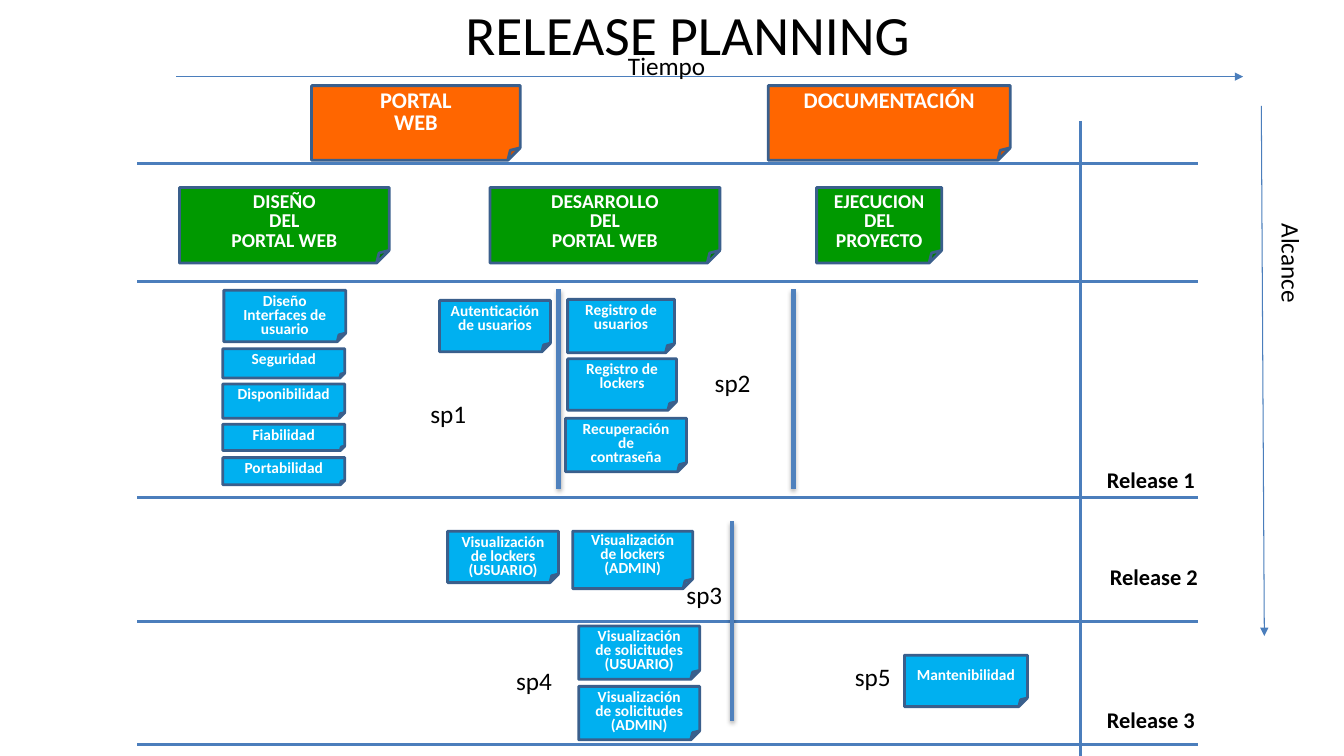
from lxml.etree import SubElement
from pptx import Presentation
from pptx.dml.color import RGBColor
from pptx.enum.shapes import MSO_CONNECTOR, MSO_SHAPE
from pptx.enum.text import MSO_ANCHOR, MSO_AUTO_SIZE, PP_ALIGN
from pptx.oxml.ns import qn
from pptx.util import Inches, Pt

BLACK = RGBColor(0x00, 0x00, 0x00)
WHITE = RGBColor(0xFF, 0xFF, 0xFF)
ORANGE = RGBColor(0xFF, 0x66, 0x00)
GREEN = RGBColor(0x00, 0x99, 0x00)
BLUE = RGBColor(0x00, 0xB0, 0xF0)
EDGE = RGBColor(0x3A, 0x5F, 0x8C)
RULE = RGBColor(0x4B, 0x7E, 0xBC)
SPRINT = RGBColor(0x4F, 0x81, 0xBD)

deck = Presentation()
deck.slide_width, deck.slide_height = Inches(13.33), Inches(7.5)
slide = deck.slides.add_slide(deck.slide_layouts[6])


def write(frame, text, size, color, bold=False, align=PP_ALIGN.LEFT, pitch=None):
    """Put each line of text in its own paragraph; pitch is the line spacing in points."""
    for i, line in enumerate(text.split("\n")):
        para = frame.paragraphs[0] if i == 0 else frame.add_paragraph()
        para.alignment = align
        if pitch:
            para.line_spacing = Pt(pitch)
        run = para.add_run()
        run.text = line
        run.font.name = "Calibri"
        run.font.size = Pt(size)
        run.font.bold = bold
        run.font.color.rgb = color


def draw_line(x1, y1, x2, y2, color, width):
    """Return the line and its empty effect list."""
    line = slide.shapes.add_connector(
        MSO_CONNECTOR.STRAIGHT, Inches(x1), Inches(y1), Inches(x2), Inches(y2))
    line.line.color.rgb = color
    line.line.width = Pt(width)
    return line, SubElement(line.element.spPr, qn("a:effectLst"))


# Title
title = slide.shapes.add_textbox(Inches(1.85), Inches(0.02), Inches(9.94), Inches(0.62))
title.text_frame.word_wrap = True
title.text_frame.vertical_anchor = MSO_ANCHOR.MIDDLE
write(title.text_frame, "RELEASE PLANNING", 39.6, BLACK, align=PP_ALIGN.CENTER)

# Release grid
for y in (1.62, 2.79, 4.94, 6.17, 7.39):
    draw_line(1.36, y, 11.88, y, RULE, 2.25)
draw_line(10.72, 1.2, 10.72, 7.5, RULE, 2.25)

# Time and scope axes
for ends in ((1.75, 0.76, 12.33, 0.76), (12.51, 1.05, 12.54, 6.31)):
    axis, _ = draw_line(*ends, RULE, 0.75)
    SubElement(axis.line._get_or_add_ln(), qn("a:tailEnd"), type="triangle")

# Sprint dividers
for x, y in ((5.54, 2.87), (7.87, 2.87), (7.26, 5.17)):
    _, effects = draw_line(x, y, x, y + 1.98, SPRINT, 3)
    shadow = SubElement(effects, qn("a:outerShdw"), blurRad="40000",
                        dist="23000", dir="5400000", rotWithShape="0")
    shade = SubElement(shadow, qn("a:srgbClr"), val="000000")
    SubElement(shade, qn("a:alpha"), val="35000")

# Notes: text, left, top, width, height, anchor
TOP, MID = MSO_ANCHOR.TOP, MSO_ANCHOR.MIDDLE
goals = [
    ("PORTAL\nWEB", 3.09, 0.85, 2.07, 0.74, TOP),
    ("DOCUMENTACIÓN", 7.62, 0.85, 2.4, 0.74, TOP),
]
tasks = [
    ("DISEÑO\nDEL\nPORTAL WEB", 1.78, 1.86, 2.08, 0.75, TOP),
    ("DESARROLLO\nDEL\nPORTAL WEB", 4.86, 1.86, 2.28, 0.75, TOP),
    ("EJECUCION DEL PROYECTO", 8.1, 1.86, 1.24, 0.75, TOP),
]
stories = [
    ("Diseño Interfaces de usuario", 2.22, 2.88, 1.21, 0.51, TOP),
    ("Seguridad", 2.21, 3.46, 1.21, 0.29, MID),
    ("Disponibilidad", 2.21, 3.81, 1.21, 0.34, TOP),
    ("Fiabilidad", 2.21, 4.21, 1.21, 0.26, TOP),
    ("Portabilidad", 2.21, 4.54, 1.21, 0.27, TOP),
    ("Autenticación de usuarios", 4.36, 2.98, 1.1, 0.51, TOP),
    ("Registro de usuarios", 5.63, 2.97, 1.06, 0.53, TOP),
    ("Registro de lockers", 5.63, 3.56, 1.08, 0.51, TOP),
    ("Recuperación de\ncontraseña", 5.61, 4.15, 1.2, 0.53, TOP),
    ("Visualización de lockers (USUARIO)", 4.44, 5.27, 1.1, 0.51, TOP),
    ("Visualización\nde lockers\n(ADMIN)", 5.68, 5.27, 1.19, 0.57, MID),
    ("Visualización de solicitudes (USUARIO)", 5.74, 6.21, 1.2, 0.53, TOP),
    ("Visualización de solicitudes (ADMIN)", 5.74, 6.81, 1.2, 0.53, TOP),
    ("Mantenibilidad", 8.97, 6.5, 1.22, 0.51, MID),
]
levels = [(goals, ORANGE, 16, 16), (tasks, GREEN, 14, 14), (stories, BLUE, 11, 10)]
for notes, fill, size, pitch in levels:
    for text, x, y, w, h, anchor in notes:
        note = slide.shapes.add_shape(
            MSO_SHAPE.FOLDED_CORNER, Inches(x), Inches(y), Inches(w), Inches(h))
        note.shadow.inherit = False
        note.fill.solid()
        note.fill.fore_color.rgb = fill
        note.line.color.rgb = EDGE
        note.line.width = Pt(2)
        note.text_frame.word_wrap = True
        note.text_frame.vertical_anchor = anchor
        write(note.text_frame, text, size, WHITE, True, PP_ALIGN.CENTER, pitch)

# Labels: text, left, top, width, height, size
labels = [
    ("Release 1", 10.88, 4.58, 1.15, 0.37, 16),
    ("Release 2", 10.91, 5.54, 1.15, 0.37, 16),
    ("Release 3", 10.88, 6.96, 1.15, 0.37, 16),
    ("Tiempo", 6.13, 0.45, 0.98, 0.4, 18),
    ("Alcance", 12.51, 2.12, 0.5, 0.9, 18),
    ("sp1", 4.17, 3.9, 0.56, 0.4, 18),
    ("sp2", 6.99, 3.59, 0.56, 0.4, 18),
    ("sp3", 6.71, 5.7, 0.56, 0.4, 18),
    ("sp4", 5.02, 6.55, 0.56, 0.4, 18),
    ("sp5", 8.38, 6.51, 0.56, 0.4, 18),
]
for text, x, y, w, h, size in labels:
    label = slide.shapes.add_textbox(Inches(x), Inches(y), Inches(w), Inches(h))
    label.text_frame.word_wrap = False
    label.text_frame.auto_size = MSO_AUTO_SIZE.SHAPE_TO_FIT_TEXT
    if text == "Alcance":
        label.element.txBody.bodyPr.set("vert", "vert")
    write(label.text_frame, text, size, BLACK, bold=text.startswith("Release"))

deck.save("out.pptx")
